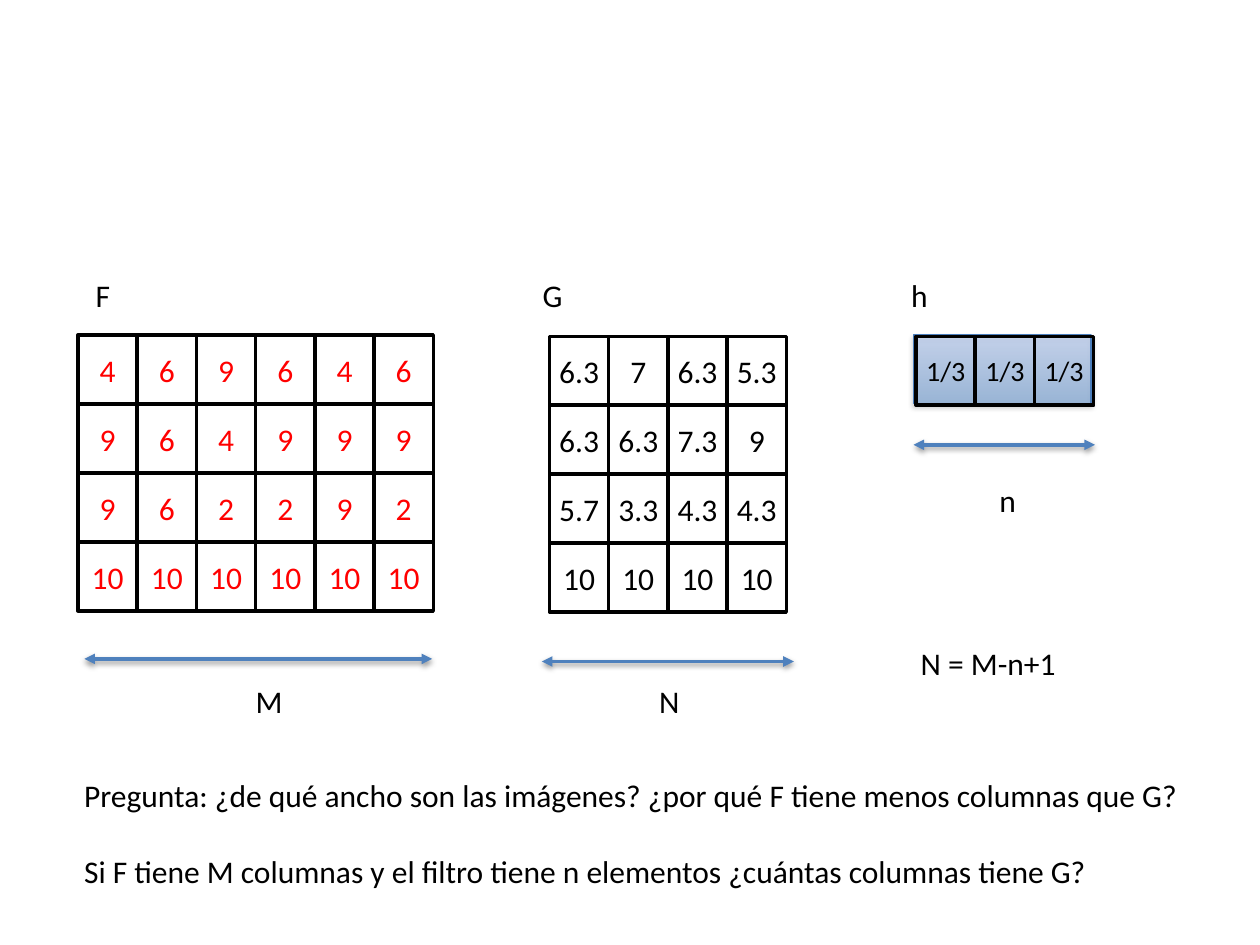
from lxml.etree import SubElement
from pptx import Presentation
from pptx.dml.color import RGBColor
from pptx.enum.shapes import MSO_CONNECTOR, MSO_SHAPE
from pptx.enum.text import MSO_ANCHOR, PP_ALIGN
from pptx.oxml.ns import qn
from pptx.util import Pt

COLORS = {
    "ink": "000000",
    "source": "FF0000",
    "arrow": "4F81BD",
    "panel_line": "4B7EBC",
    "panel_bottom": "3F80CE",
    "panel_top": "A4C4FF",
}
CELL_W, CELL_H = 33.84, 39.4

F_ROWS = [
    ["4", "6", "9", "6", "4", "6"],
    ["9", "6", "4", "9", "9", "9"],
    ["9", "6", "2", "2", "9", "2"],
    ["10"] * 6,
]
G_ROWS = [
    ["6.3", "7", "6.3", "5.3"],
    ["6.3", "6.3", "7.3", "9"],
    ["5.7", "3.3", "4.3", "4.3"],
    ["10"] * 4,
]
H_ROWS = [["1/3"] * 3]
LABELS = [
    ("F", 47.5, 154), ("G", 303, 154), ("h", 513.5, 154),
    ("M", 139, 386), ("N", 369.5, 386), ("n", 564, 271.5),
    ("N = M-n+1", 519, 364.5),
]
ARROWS = [(48.2, 247, 376.5), (309.6, 453.6, 378), (522, 625.7, 254.2)]
QUESTIONS = [
    "Pregunta: ¿de qué ancho son las imágenes? ¿por qué F tiene menos columnas que G?",
    "Si F tiene M columnas y el filtro tiene n elementos ¿cuántas columnas tiene G?",
]


class Deck:
    font = "Calibri"
    size = 18

    def __init__(self, prs):
        self.s = prs.slides.add_slide(prs.slide_layouts[6])

    def color(self, name):
        return RGBColor.from_string(COLORS[name])

    def style(self, p, size, color):
        for r in p.runs:
            r.font.name = self.font
            r.font.size = Pt(size)
            r.font.color.rgb = self.color(color)

    def shadow(self, sp, alpha, dist):
        effects = SubElement(sp._element.spPr, qn("a:effectLst"))
        outer = SubElement(effects, qn("a:outerShdw"), blurRad=str(Pt(3.1)),
                           dist=str(Pt(dist)), dir="5400000", rotWithShape="0")
        black = SubElement(outer, qn("a:srgbClr"), val=COLORS["ink"])
        SubElement(black, qn("a:alpha"), val=str(alpha * 1000))

    def rect(self, x, y, w, h, line, width):
        sp = self.s.shapes.add_shape(MSO_SHAPE.RECTANGLE, Pt(x), Pt(y), Pt(w), Pt(h))
        sp.line.color.rgb = self.color(line)
        sp.line.width = Pt(width)
        return sp

    def panel(self, x, y, w, h):
        sp = self.rect(x, y, w, h, "panel_line", 0.75)
        sp.fill.gradient()
        sp.fill.gradient_angle = 90
        for stop, name in zip(sp.fill.gradient_stops, ("panel_bottom", "panel_top")):
            stop.color.rgb = self.color(name)
        for clr in sp._element.spPr.find(qn("a:gradFill")).iter(qn("a:srgbClr")):
            SubElement(clr, qn("a:alpha"), val="41000")
        self.shadow(sp, 35, 1.8)

    def grid(self, x, y, rows, color="ink", size=18):
        for i, row in enumerate(rows):
            for j, value in enumerate(row):
                sp = self.rect(x + j * CELL_W, y + i * CELL_H, CELL_W, CELL_H, "ink", 2)
                sp.fill.background()
                sp.shadow.inherit = False
                tf = sp.text_frame
                tf.margin_left = tf.margin_right = 0
                tf.vertical_anchor = MSO_ANCHOR.MIDDLE
                tf.text = value
                p = tf.paragraphs[0]
                p.alignment = PP_ALIGN.CENTER
                self.style(p, size, color)

    def text(self, x, y, w, h, lines, gap=0):
        tf = self.s.shapes.add_textbox(Pt(x), Pt(y), Pt(w), Pt(h)).text_frame
        tf.word_wrap = True
        tf.text = "\n".join(lines)
        for p in tf.paragraphs:
            self.style(p, self.size, "ink")
        for p in tf.paragraphs[1:]:
            p.space_before = Pt(gap)

    def arrow(self, x1, x2, y):
        sp = self.s.shapes.add_connector(
            MSO_CONNECTOR.STRAIGHT, Pt(x1), Pt(y), Pt(x2), Pt(y))
        sp.line.color.rgb = self.color("arrow")
        sp.line.width = Pt(2)
        ln = sp._element.spPr.find(qn("a:ln"))
        for end in ("a:headEnd", "a:tailEnd"):
            SubElement(ln, qn(end), type="triangle")
        self.shadow(sp, 38, 1.6)


def main():
    prs = Presentation()
    prs.slide_width, prs.slide_height = Pt(720), Pt(540)
    deck = Deck(prs)
    deck.grid(44.6, 191.5, F_ROWS, "source")
    deck.grid(314, 192.2, G_ROWS)
    deck.panel(522, 191.5, 101.5, 39)
    deck.grid(523.5, 192.2, H_ROWS, size=16)
    for label, x, y in LABELS:
        deck.text(x, y, 15 + 9 * len(label), 29, [label])
    for x1, x2, y in ARROWS:
        deck.arrow(x1, x2, y)
    deck.text(41, 440, 655, 73, QUESTIONS, gap=22)
    prs.save("out.pptx")


if __name__ == "__main__":
    main()
